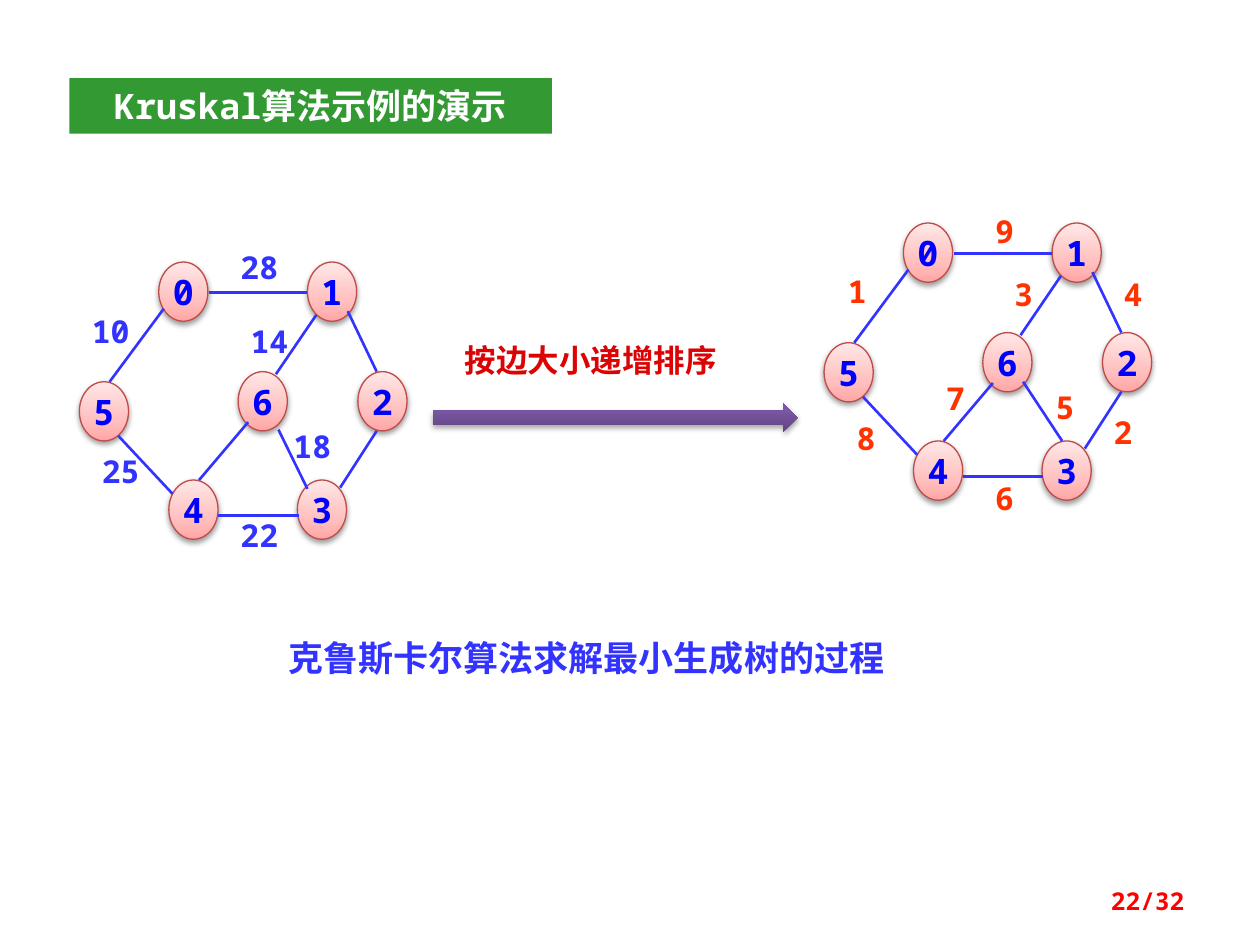
from pptx import Presentation
from pptx import util as u
from pptx.dml.color import RGBColor
from pptx.enum import shapes, text
from pptx.oxml import parse_xml
from pptx.oxml.ns import nsdecls, qn
from dataclasses import dataclass


@dataclass(frozen=True)
class Theme:
    mono: str = "Noto Sans Mono"
    serif: str = "Times New Roman"
    chinese: str = "Noto Sans CJK SC"
    white: str = "FFFFFF"
    banner: str = "339933"
    edge: str = "3333FF"
    node_text: str = "0000FF"
    node_line: str = "BF4C48"
    order: str = "FF3300"
    step: str = "DB0303"
    page_number: str = "FF0000"
    node_stops: tuple = ((0, "FFA6A5"), (35, "FFC0BF"), (100, "FFE7E7"))
    arrow_stops: tuple = ((0, "5F4480"), (80, "7B58A6"), (100, "7C57A8"))
    large: int = 20
    medium: int = 18
    small: int = 14


theme = Theme()
CENTER, LEFT, RIGHT = text.PP_ALIGN.CENTER, text.PP_ALIGN.LEFT, text.PP_ALIGN.RIGHT
TOP, MIDDLE = text.MSO_ANCHOR.TOP, text.MSO_ANCHOR.MIDDLE


def write(box, words, size, color, font=theme.mono, align=CENTER, anchor=TOP, wrap=True):
    """Put one bold line of text in a shape."""
    frame = box.text_frame
    frame.text = words
    frame.word_wrap = wrap
    frame.vertical_anchor = anchor
    para = frame.paragraphs[0]
    para.alignment = align
    span = para.runs[0]
    span.font.name = font
    span.font.size = u.Pt(size)
    span.font.bold = True
    span.font.color.rgb = RGBColor.from_string(color)
    east_asian = parse_xml(f'<a:ea {nsdecls("a")} typeface="{theme.chinese}"/>')
    span.font._element.find(qn("a:latin")).addnext(east_asian)


def shade(shape, stops, opacity):
    """Give a shape an upward gradient and a soft shadow below it."""
    stop_xml = "".join(
        f'<a:gs pos="{place * 1000}"><a:srgbClr val="{color}"/></a:gs>' for place, color in stops)
    properties = shape._element.spPr
    properties.find(qn("a:prstGeom")).addnext(parse_xml(
        f'<a:gradFill {nsdecls("a")} rotWithShape="1"><a:gsLst>{stop_xml}</a:gsLst>'
        '<a:lin ang="16200000" scaled="0"/></a:gradFill>'))
    shape.shadow.inherit = False
    properties.find(qn("a:effectLst")).append(parse_xml(
        f'<a:outerShdw {nsdecls("a")} blurRad="40000" dist="21000" dir="5400000" rotWithShape="0">'
        f'<a:srgbClr val="000000"><a:alpha val="{opacity * 1000}"/></a:srgbClr></a:outerShdw>'))


deck = Presentation()
deck.slide_width, deck.slide_height = u.Inches(10), u.Inches(7.5)
page = deck.slides.add_slide(deck.slide_layouts[5])

# Title banner
title = page.shapes.title
title.left, title.top = u.Inches(0.55), u.Inches(0.62)
title.width, title.height = u.Inches(3.83), u.Inches(0.44)
title.fill.solid()
title.fill.fore_color.rgb = RGBColor.from_string(theme.banner)
write(title, "Kruskal算法示例的演示", theme.large, theme.white, anchor=MIDDLE)

# Caption
caption = page.shapes.add_textbox(u.Inches(2.19), u.Inches(5), u.Inches(6.07), u.Inches(0.44))
write(caption, "克鲁斯卡尔算法求解最小生成树的过程", theme.large, theme.edge, theme.serif, LEFT)

# Both graphs share one layout, given in the position of the right graph
node_width, node_height = 0.39, 0.47
nodes = {"0": (7.17, 1.77), "1": (8.35, 1.77), "5": (6.54, 2.72), "4": (7.25, 3.5),
         "3": (8.27, 3.5), "6": (7.8, 2.64), "2": (8.75, 2.64)}
shared_edges = [
    (7.57, 2.01, 8.35, 2.01),  # 0-1
    (7.21, 2.14, 6.78, 2.72),  # 0-5
    (6.85, 3.15, 7.28, 3.61),  # 5-4
    (7.64, 3.78, 8.28, 3.78),  # 4-3
    (7.49, 3.5, 7.88, 3.04),   # 4-6
    (8.42, 2.19, 8.1, 2.66),   # 1-6
    (8.67, 2.16, 8.9, 2.64),   # 1-2
    (8.9, 3.11, 8.61, 3.56),   # 2-3
]
ranks = [("1", 6.63, 2.11), ("2", 8.74, 3.23), ("3", 7.95, 2.13), ("8", 6.7, 3.28),
         ("6", 7.8, 3.75), ("7", 7.41, 2.96), ("9", 7.8, 1.63), ("5", 8.28, 3.03),
         ("4", 8.82, 2.13)]
weights = [("28", 1.81, 1.92), ("10", 0.63, 2.43), ("14", 1.89, 2.51), ("25", 0.71, 3.54),
           ("18", 2.23, 3.34), ("22", 1.81, 4.05)]

# Shift across, shift down, edge 6-3, labels, label width, label colour, label alignment
graphs = [
    (0, 0, (8.12, 3.03, 8.43, 3.5), ranks, 0.31, theme.order, CENTER),
    (-5.91, 0.31, (8.12, 3.1, 8.35, 3.57), weights, 0.55, theme.edge, LEFT),
]
for across, down, inner_edge, labels, label_width, label_color, align in graphs:
    graph = page.shapes.add_group_shape().shapes

    # Nodes
    for name, (left, top) in nodes.items():
        node = graph.add_shape(shapes.MSO_SHAPE.OVAL, u.Inches(left + across),
                               u.Inches(top + down), u.Inches(node_width), u.Inches(node_height))
        shade(node, theme.node_stops, 38)
        node.line.color.rgb = RGBColor.from_string(theme.node_line)
        node.line.width = u.Pt(0.75)
        write(node, name, theme.large, theme.node_text, anchor=MIDDLE, wrap=False)

    # Edges
    for x1, y1, x2, y2 in shared_edges + [inner_edge]:
        edge = graph.add_connector(shapes.MSO_CONNECTOR.STRAIGHT,
                                   u.Inches(x1 + across), u.Inches(y1 + down),
                                   u.Inches(x2 + across), u.Inches(y2 + down))
        edge.line.color.rgb = RGBColor.from_string(theme.edge)
        edge.line.width = u.Pt(1.5)
        edge._element.spPr.append(parse_xml(f'<a:effectLst {nsdecls("a")}/>'))

    # Edge labels
    for words, left, top in labels:
        label = graph.add_textbox(u.Inches(left), u.Inches(top),
                                  u.Inches(label_width), u.Inches(0.4))
        write(label, words, theme.medium, label_color, align=align)

# Sorting step between the graphs
step = page.shapes.add_group_shape().shapes
step_label = step.add_textbox(u.Inches(3.59), u.Inches(2.66), u.Inches(2.76), u.Inches(0.4))
write(step_label, "按边大小递增排序", theme.medium, theme.step, theme.chinese, LEFT)
arrow = step.add_shape(shapes.MSO_SHAPE.RIGHT_ARROW, u.Inches(3.44), u.Inches(3.2),
                       u.Inches(2.89), u.Inches(0.23))
shade(arrow, theme.arrow_stops, 35)
arrow.line.fill.background()

# Page number
number = page.shapes.add_textbox(u.Inches(7.17), u.Inches(6.95), u.Inches(2.33), u.Inches(0.4))
write(number, "22/32", theme.small, theme.page_number, align=RIGHT, anchor=MIDDLE)

deck.save("out.pptx")
